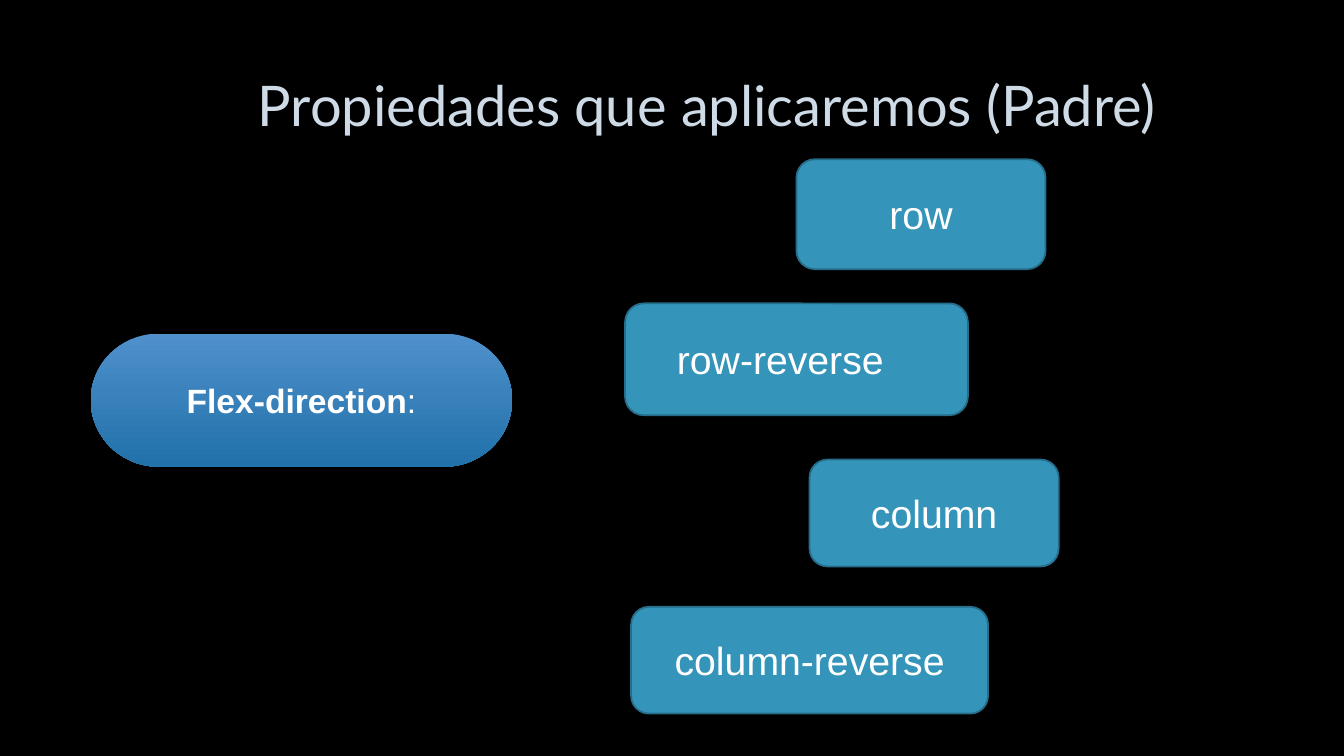
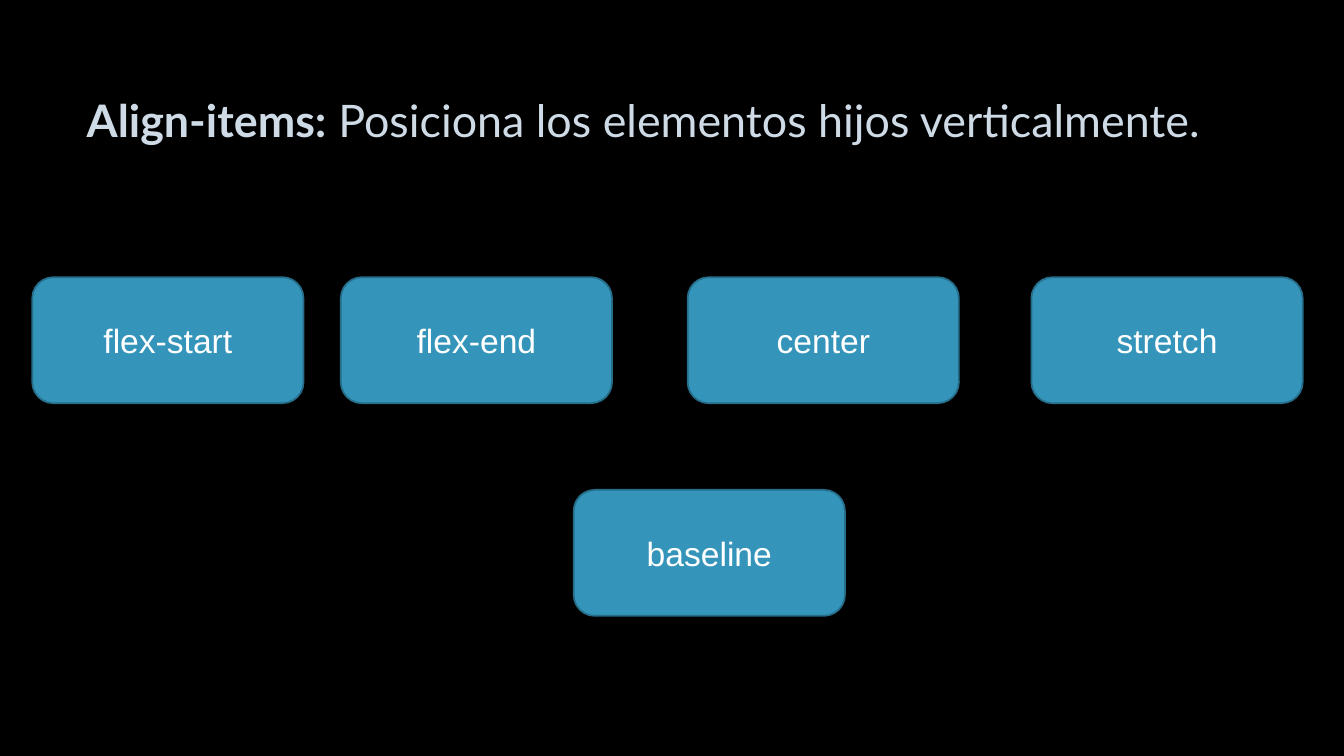
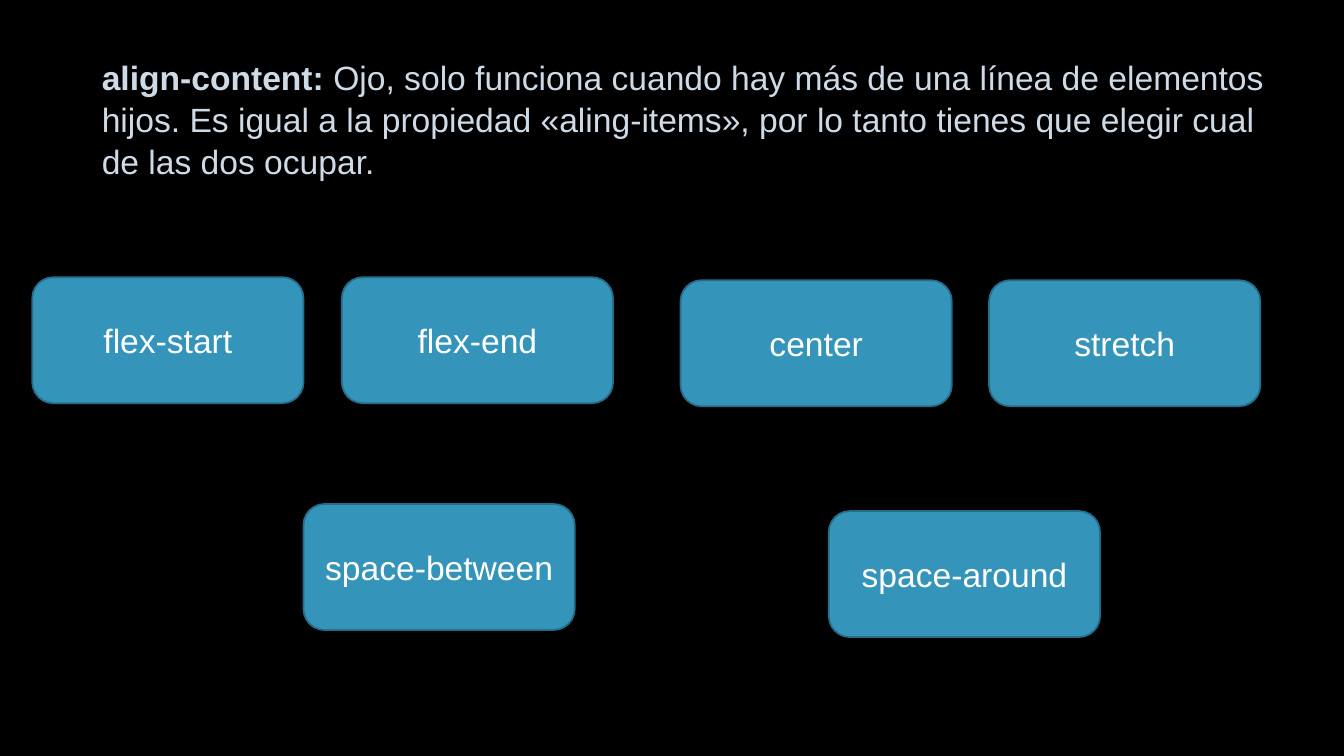
"""Build three slides on the CSS flexbox properties of a parent element."""
import pptx
import pptx.dml.color
import pptx.enum.shapes
import pptx.enum.text
import pptx.oxml
import pptx.util

Inches = pptx.util.Inches
Pt = pptx.util.Pt
SHAPE = pptx.enum.shapes.MSO_SHAPE
ALIGN = pptx.enum.text.PP_ALIGN
MIDDLE = pptx.enum.text.MSO_ANCHOR.MIDDLE

BLACK, WHITE, PALE = "000000", "FFFFFF", "CEDBE6"
BOX_FILL, BOX_LINE = "3494BA", "266D8A"
PILL_TOP, PILL_BOTTOM = "4F90CB", "2171AA"
BOX_W, BOX_H = 2.69, 1.25
TEXT_OUTLINE = (
    '<a:ln xmlns:a="http://schemas.openxmlformats.org/drawingml/2006/main" w="9525">'
    '<a:solidFill><a:srgbClr val="404040"><a:alpha val="10000"/></a:srgbClr></a:solidFill>'
    '<a:prstDash val="solid"/></a:ln>'
)


def rgb(color):
    """Turn a hex string into a colour."""
    return pptx.dml.color.RGBColor.from_string(color)


def write(sp, runs, size, color, font="Arial", align=ALIGN.CENTER):
    """Fill a shape with one paragraph of (text, bold) runs and return it."""
    tf = sp.text_frame
    tf.word_wrap = True
    tf.auto_size = pptx.enum.text.MSO_AUTO_SIZE.NONE
    tf.vertical_anchor = MIDDLE
    p = tf.paragraphs[0]
    p.alignment = align
    for text, bold in runs:
        r = p.add_run()
        r.text = text
        r.font.name = font
        r.font.size = Pt(size)
        r.font.bold = bold
        r.font.color.rgb = rgb(color)
    return p


def add_slide(prs, runs, at, size, font="Lato", align=ALIGN.LEFT):
    """Add a slide with its title placed and styled."""
    slide = prs.slides.add_slide(prs.slide_layouts[5])
    sp = slide.shapes.title
    sp.left, sp.top, sp.width, sp.height = map(Inches, at)
    p = write(sp, runs, size, PALE, font, align)
    p.line_spacing = 1.05
    for r in p.runs:
        r._r.get_or_add_rPr().insert(0, pptx.oxml.parse_xml(TEXT_OUTLINE))
    return slide


def add_box(slide, text, left, top, width=BOX_W, height=BOX_H, size=24):
    """Add a rounded box holding one property value."""
    sp = slide.shapes.add_shape(SHAPE.ROUNDED_RECTANGLE, *map(Inches, (left, top, width, height)))
    sp.shadow.inherit = False
    sp.fill.solid()
    sp.fill.fore_color.rgb = rgb(BOX_FILL)
    sp.line.color.rgb = rgb(BOX_LINE)
    sp.line.width = Pt(1.25)
    write(sp, [(text, False)], size, WHITE)
    return sp


def add_pill(slide, runs, at):
    """Add a gradient pill naming a property."""
    sp = slide.shapes.add_shape(SHAPE.FLOWCHART_TERMINATOR, *map(Inches, at))
    sp.shadow.inherit = False
    sp.fill.gradient()
    sp.fill.gradient_angle = 270
    for stop, color in zip(sp.fill.gradient_stops, (PILL_TOP, PILL_BOTTOM)):
        stop.color.rgb = rgb(color)
    sp.line.fill.background()
    write(sp, runs, 24, WHITE)


def build_direction(prs):
    """Build the flex-direction slide."""
    slide = add_slide(prs, [("Propiedades que aplicaremos (Padre)", False)],
                      (1.35, 0.49, 11.32, 1.06), 40, align=ALIGN.CENTER)
    add_pill(slide, [("Flex-direction", True), (":", False)], (0.9, 3.31, 4.18, 1.32))
    add_box(slide, "row", 7.9, 1.58, 2.47, 1.09, 28)
    reverse = add_box(slide, "row-reverse", 6.2, 3.01, 3.4, 1.11, 28)
    reverse.text_frame.margin_right = Inches(0.42)
    add_box(slide, "column", 8.03, 4.56, 2.47, 1.06, 28)
    add_box(slide, "column-reverse", 6.26, 6.02, 3.54, 1.06, 28)


def build_values(prs, title, boxes):
    """Build a slide of equal boxes under a title."""
    slide = add_slide(prs, **title)
    for text, left, top in boxes:
        add_box(slide, text, left, top)


def main():
    """Build and save the presentation."""
    prs = pptx.Presentation()
    prs.slide_width, prs.slide_height = Inches(13.33), Inches(7.5)
    fill = prs.slide_master.background.fill
    fill.solid()
    fill.fore_color.rgb = rgb(BLACK)

    build_direction(prs)
    build_values(
        prs,
        {"runs": [("Align-items:", True),
                  (" Posiciona los elementos hijos verticalmente.", False)],
         "at": (0.76, 0.64, 11.8, 1.06), "size": 32},
        [("flex-start", 0.32, 2.75), ("flex-end", 3.38, 2.75), ("center", 6.82, 2.75),
         ("stretch", 10.23, 2.75), ("baseline", 5.69, 4.86)])
    build_values(
        prs,
        {"runs": [("align-content:", True),
                  (" Ojo, solo funciona cuando hay más de una línea de elementos hijos. "
                   "Es igual a la propiedad «aling-items», por lo tanto tienes que elegir "
                   "cual de las dos ocupar.", False)],
         "at": (0.91, 0.59, 11.9, 1.16), "size": 24, "font": "Arial"},
        [("flex-start", 0.32, 2.75), ("flex-end", 3.39, 2.75), ("center", 6.75, 2.78),
         ("stretch", 9.81, 2.78), ("space-between", 3.01, 5), ("space-around", 8.22, 5.07)])
    prs.save("out.pptx")


if __name__ == "__main__":
    main()
